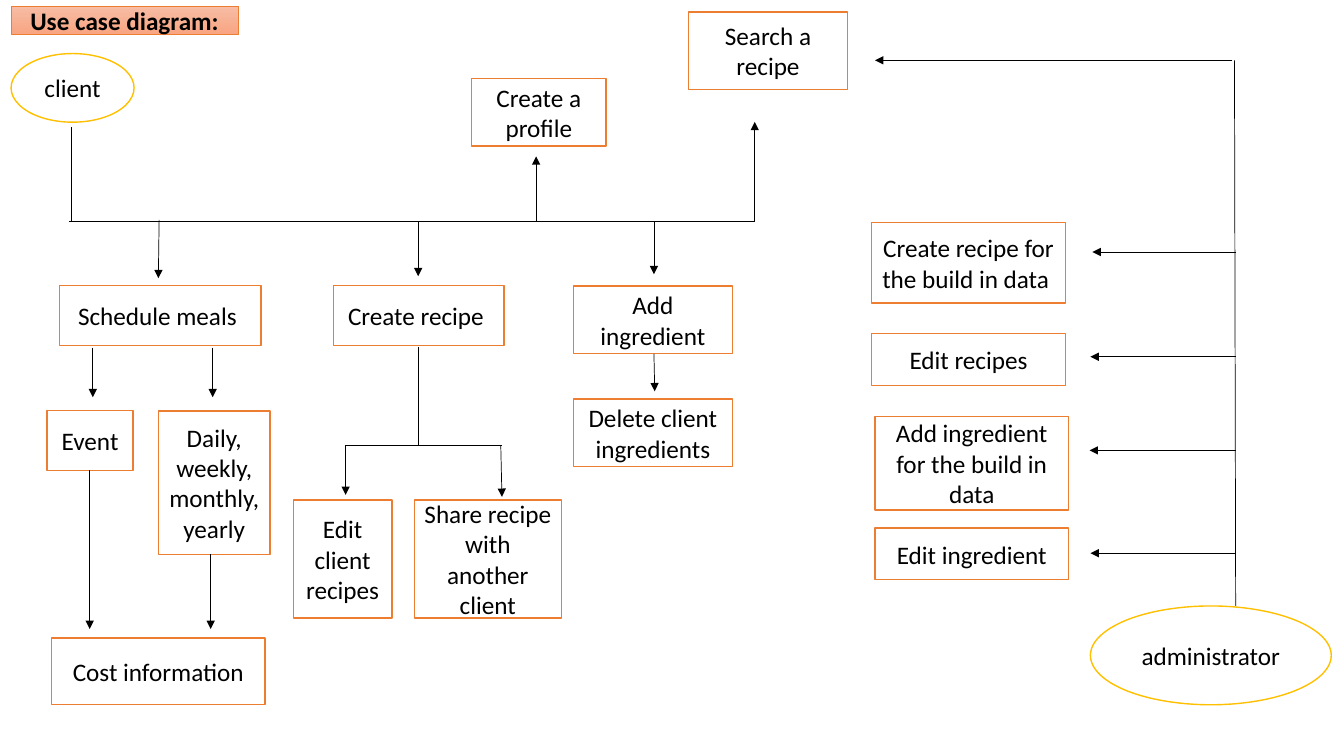
"""Build the use case diagram slide for the recipe application."""
from lxml import etree
from pptx import Presentation
from pptx.dml.color import RGBColor
from pptx.enum.shapes import MSO_CONNECTOR, MSO_SHAPE
from pptx.enum.text import MSO_ANCHOR, MSO_AUTO_SIZE, PP_ALIGN
from pptx.oxml.ns import qn
from pptx.util import Cm, Pt

RECT, ELLIPSE = MSO_SHAPE.RECTANGLE, MSO_SHAPE.OVAL
STRAIGHT = MSO_CONNECTOR.STRAIGHT
CENTER, MIDDLE = PP_ALIGN.CENTER, MSO_ANCHOR.MIDDLE
NO_AUTOFIT = MSO_AUTO_SIZE.NONE

BLACK, WHITE, ORANGE, GOLD = "000000", "FFFFFF", "ED7D31", "FFC000"
HEADING = "Use case diagram:"
HEADING_BOX = (0.28, 0.15, 5.72, 0.71)
HEADING_GRADIENT = ("F7BDA5", "F8A582")

ACTORS = [
    ("client", 0.28, 1.35, 3.1, 1.73),
    ("administrator", 27.48, 15.27, 6.07, 2.49),
]
USE_CASES = [
    ("Create a profile", 11.89, 1.98, 3.38, 1.7),
    ("Search a recipe", 17.35, 0.3, 4.01, 1.96),
    ("Schedule meals ", 1.5, 7.19, 5.08, 1.52),
    ("Event", 1.19, 10.34, 2.16, 1.52),
    ("Daily, weekly, monthly, yearly", 3.99, 10.36, 2.82, 3.61),
    ("Cost information", 1.3, 16.08, 5.38, 1.68),
    ("Create recipe ", 8.41, 7.19, 4.29, 1.52),
    ("Edit client recipes", 7.39, 12.6, 2.49, 2.97),
    ("Share recipe with another client", 10.44, 12.6, 3.71, 2.97),
    ("Add ingredient", 14.45, 7.21, 4.01, 1.7),
    ("Delete client ingredients", 14.45, 10.06, 4.01, 1.7),
    ("Create recipe for the build in data ", 21.97, 5.61, 4.88, 2.03),
    ("Edit recipes", 21.97, 8.41, 4.88, 1.3),
    ("Add ingredient for the build in data", 22.05, 10.49, 4.88, 2.36),
    ("Edit ingredient", 22.05, 13.31, 4.88, 1.3),
]

CLIENT_BUS_Y, RECIPE_BUS_Y, ADMIN_X = 5.59, 11.23, 31.14
CLIENT_BRANCHES = [(10.54, 6.96), (13.51, 3.94), (16.48, 6.91), (19.02, 3.07)]
SCHEDULE_BRANCHES = [2.34, 5.36]
COST_BRANCHES = [(2.26, 11.84), (5.31, 13.97)]
ADMIN_BRANCHES = [(27.53, 6.35), (27.48, 8.99), (27.46, 11.35), (27.48, 13.94)]

PLAIN_LINES = [
    (1.8, CLIENT_BUS_Y, 1.8, 3.2),
    (1.75, CLIENT_BUS_Y, 19.02, CLIENT_BUS_Y),
    (10.54, 8.74, 10.54, RECIPE_BUS_Y),
    (8.69, RECIPE_BUS_Y, 12.65, RECIPE_BUS_Y),
    (ADMIN_X, 15.27, 31.11, 1.52),
]
ARROWS = [
    (4.01, 5.54, 3.99, 7.01),
    (8.71, RECIPE_BUS_Y, 8.71, 12.47),
    (12.62, RECIPE_BUS_Y, 12.65, 12.52),
    (16.48, 8.92, 16.5, 9.86),
    (31.06, 1.52, 22.05, 1.52),
    *[(x, CLIENT_BUS_Y, x, end) for x, end in CLIENT_BRANCHES],
    *[(x, 8.76, x, 10.01) for x in SCHEDULE_BRANCHES],
    *[(x, start, x, 15.85) for x, start in COST_BRANCHES],
    *[(ADMIN_X, y, end, y) for end, y in ADMIN_BRANCHES],
]


def color(value):
    return RGBColor.from_string(value)


def write(shape, text, size=18, bold=False, ink=BLACK):
    frame = shape.text_frame
    frame.word_wrap = True
    frame.auto_size = NO_AUTOFIT
    frame.vertical_anchor = MIDDLE
    frame.text = text
    paragraph = frame.paragraphs[0]
    paragraph.alignment = CENTER
    font = paragraph.runs[0].font
    font.name, font.size, font.bold = "Calibri", Pt(size), bold
    font.color.rgb = color(ink)


def outline(shape, ink, width):
    shape.line.color.rgb = color(ink)
    shape.line.width = Pt(width)


def add_node(slide, kind, ink, text, *box):
    node = slide.shapes.add_shape(kind, *map(Cm, box))
    node.shadow.inherit = False
    node.fill.solid()
    node.fill.fore_color.rgb = color(WHITE)
    outline(node, ink, 1)
    write(node, text)


def add_line(slide, ends, arrow=False):
    link = slide.shapes.add_connector(STRAIGHT, *map(Cm, ends))
    outline(link, BLACK, 0.5)
    properties = link.element.spPr
    if arrow:
        etree.SubElement(properties.find(qn("a:ln")), qn("a:tailEnd"), type="triangle")
    etree.SubElement(properties, qn("a:effectLst"))


def add_heading(slide):
    heading = slide.shapes.title
    heading.left, heading.top, heading.width, heading.height = map(Cm, HEADING_BOX)
    heading.fill.gradient()
    heading.fill.gradient_angle = 270
    for stop, shade in zip(heading.fill.gradient_stops, HEADING_GRADIENT):
        stop.color.rgb = color(shade)
    outline(heading, ORANGE, 0.5)
    write(heading, HEADING, bold=True)


def main():
    deck = Presentation()
    deck.slide_width, deck.slide_height = Cm(33.87), Cm(19.05)
    slide = deck.slides.add_slide(deck.slide_layouts[5])
    add_heading(slide)
    for actor in ACTORS:
        add_node(slide, ELLIPSE, GOLD, *actor)
    for use_case in USE_CASES:
        add_node(slide, RECT, ORANGE, *use_case)
    for ends in PLAIN_LINES:
        add_line(slide, ends)
    for ends in ARROWS:
        add_line(slide, ends, arrow=True)
    deck.save("out.pptx")


if __name__ == "__main__":
    main()
